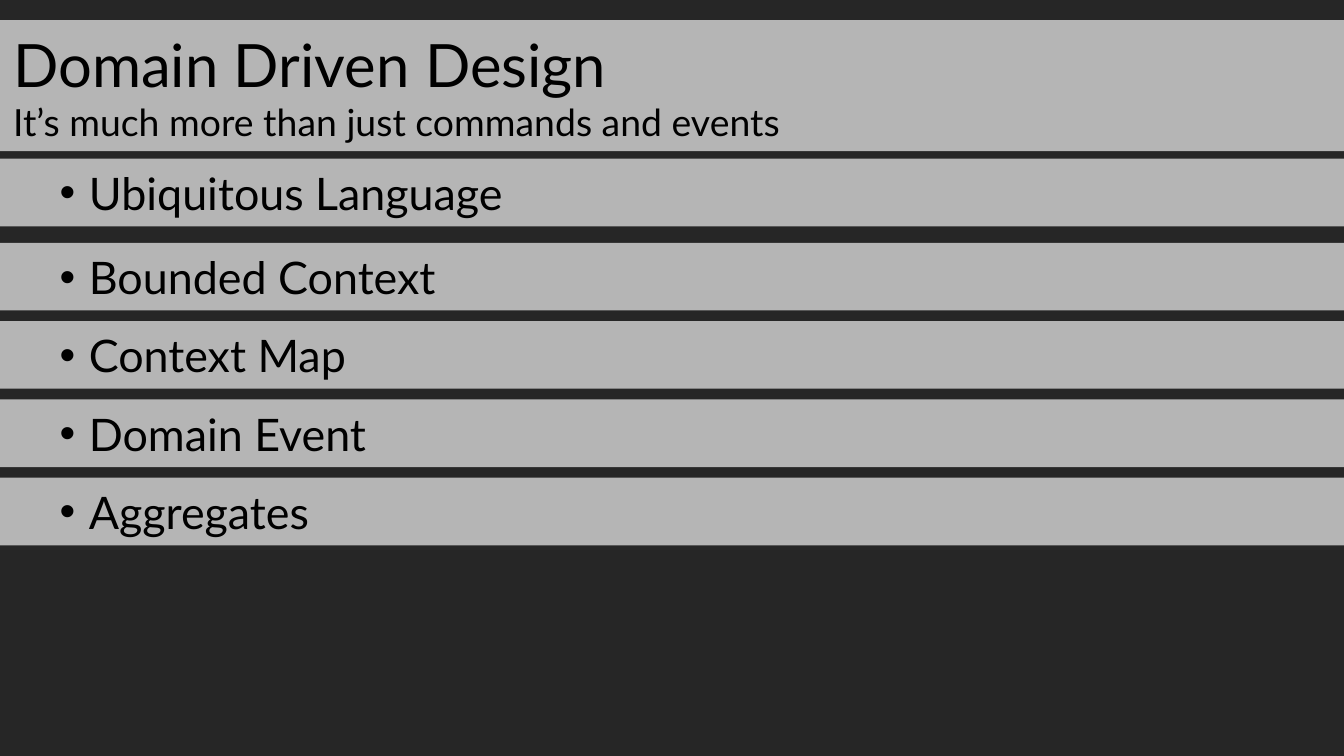
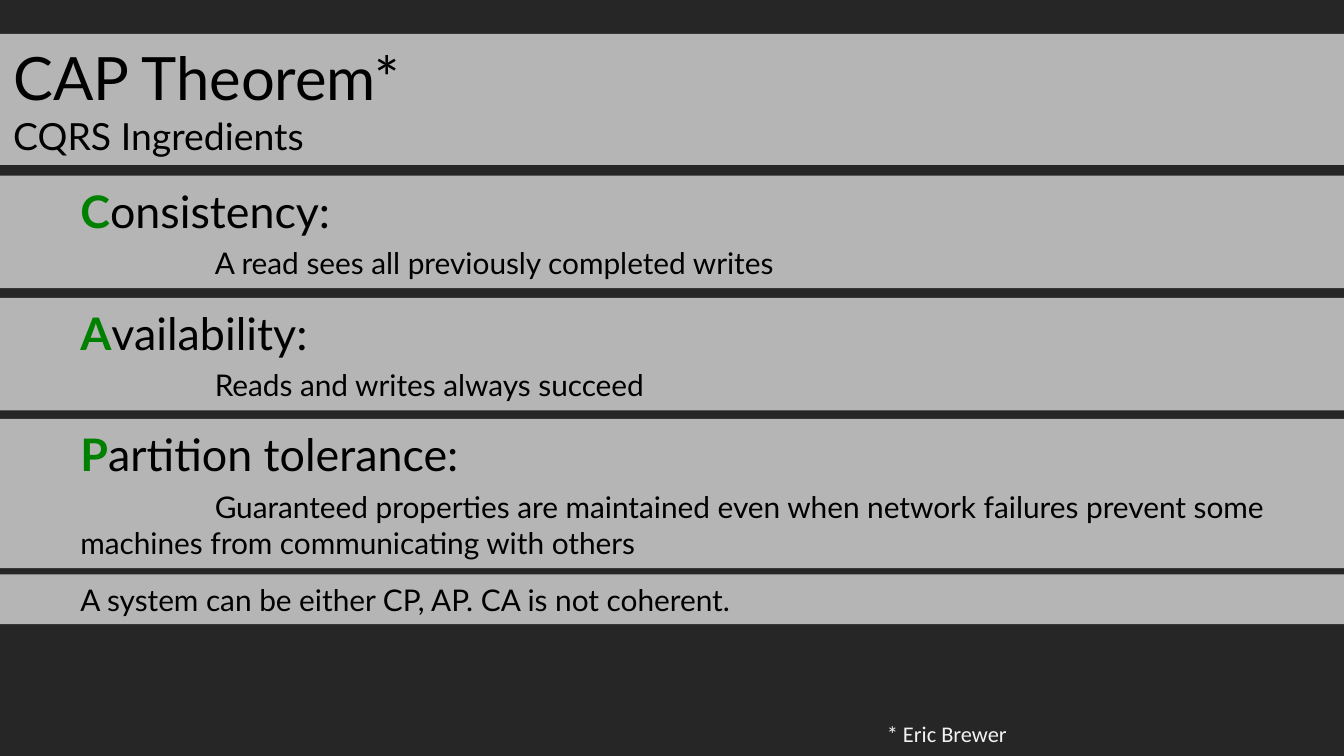
import pptx
import pptx.util
import pptx.dml.color
import pptx.enum.shapes
import pptx.enum.text
import pptx.oxml
import pptx.oxml.ns
import lxml.etree

Cm, Pt = pptx.util.Cm, pptx.util.Pt

COLOURS = {
    "background": "262626",
    "band": "D9D9D9",
    "text": "000000",
    "initial": "008000",
    "footnote": "F2F2F2",
}
BAND_OPACITY = 80
SLIDE_WIDTH, SLIDE_HEIGHT = 25.4, 14.29
TITLE_HEIGHT = 2.48
TEXT_MARGIN = 1.27
FIRST_LINE_INDENT = 2.54
BULLET_MARGIN, BULLET_HANG = 1.43, -0.55

FORMATS = {
    "title": {"name": "Lato", "size": Pt(32), "bold": False},
    "subtitle": {"name": "Lato", "size": Pt(20), "bold": False},
    "heading": {"name": "Lato", "size": Pt(24), "bold": False},
    "initial": {"name": "Lato", "size": Pt(24), "bold": True},
    "detail": {"name": "Lato", "size": Pt(16), "bold": False},
    "footnote": {"name": "Calibri", "size": Pt(12), "bold": False},
}
BAND_FRAME = {
    "word_wrap": True,
    "vertical_anchor": pptx.enum.text.MSO_ANCHOR.MIDDLE,
    "margin_left": Cm(0.25),
    "margin_right": Cm(0.25),
    "margin_top": Cm(0.13),
    "margin_bottom": Cm(0.13),
}
FOOTNOTE_FRAME = {**BAND_FRAME, "word_wrap": False,
                  "vertical_anchor": pptx.enum.text.MSO_ANCHOR.TOP}

CONCEPTS = ["Ubiquitous Language", "Bounded Context", "Context Map",
            "Domain Event", "Aggregates"]
CONCEPT_HEIGHT = 1.28
FIRST_CONCEPT_TOP, SECOND_CONCEPT_TOP, CONCEPT_PITCH = 3, 4.59, 1.48

GUARANTEES = [
    (3.32, 2.13, "Consistency:", "A read sees all previously completed writes"),
    (5.63, 2.13, "Availability:", "Reads and writes always succeed"),
    (7.92, 2.82, "Partition tolerance:",
     "Guaranteed properties are maintained even when network failures "
     "prevent some machines from communicating with others"),
]


def apply_format(target, values):
    """Set each attribute of the target from a dict of values."""
    for attribute, value in values.items():
        setattr(target, attribute, value)


def rgb(colour):
    """Return the named colour."""
    return pptx.dml.color.RGBColor.from_string(COLOURS[colour])


def add_dark_slide(deck):
    """Add a blank slide with the shared dark background."""
    slide = deck.slides.add_slide(deck.slide_layouts[6])
    slide.background.fill.solid()
    slide.background.fill.fore_color.rgb = rgb("background")
    return slide


def add_band(slide, top, height):
    """Add a translucent full-width band and return its text frame."""
    band = slide.shapes.add_shape(
        pptx.enum.shapes.MSO_SHAPE.RECTANGLE,
        Cm(0), Cm(top), Cm(SLIDE_WIDTH), Cm(height))
    band.shadow.inherit = False
    band.line.fill.background()
    band.fill.solid()
    band.fill.fore_color.rgb = rgb("band")
    tint = band.fill._xPr.find(".//" + pptx.oxml.ns.qn("a:srgbClr"))
    opacity = lxml.etree.SubElement(tint, pptx.oxml.ns.qn("a:alpha"))
    opacity.set("val", str(BAND_OPACITY * 1000))
    apply_format(band.text_frame, BAND_FRAME)
    return band.text_frame


def add_run(paragraph, text, style, colour="text"):
    """Append a run in one of the shared text styles."""
    run = paragraph.add_run()
    run.text = text
    apply_format(run.font, FORMATS[style])
    run.font.color.rgb = rgb(colour)


def set_indent(paragraph, margin, first_line=0):
    """Left-align a paragraph and set its margin and first-line indent."""
    paragraph.alignment = pptx.enum.text.PP_ALIGN.LEFT
    properties = paragraph._p.get_or_add_pPr()
    properties.set("marL", str(Cm(margin)))
    properties.set("indent", str(Cm(first_line)))
    return properties


def add_title(slide, top, title, subtitle):
    """Add the title band with its subtitle line."""
    frame = add_band(slide, top, TITLE_HEIGHT)
    lines = (frame.paragraphs[0], frame.add_paragraph())
    for line, text, style in zip(lines, (title, subtitle), ("title", "subtitle")):
        set_indent(line, 0)
        add_run(line, text, style)


def add_concept(slide, top, concept):
    """Add a band holding one bulleted concept."""
    line = add_band(slide, top, CONCEPT_HEIGHT).paragraphs[0]
    properties = set_indent(line, BULLET_MARGIN, BULLET_HANG)
    for tag, attribute, value in (("a:buFont", "typeface", "Arial"),
                                  ("a:buChar", "char", "•")):
        bullet = lxml.etree.SubElement(properties, pptx.oxml.ns.qn(tag))
        bullet.set(attribute, value)
    add_run(line, concept, "heading")


def add_guarantee(slide, top, height, name, meaning):
    """Add a band with a highlighted initial and an indented explanation."""
    frame = add_band(slide, top, height)
    heading, detail = frame.paragraphs[0], frame.add_paragraph()
    set_indent(heading, TEXT_MARGIN)
    add_run(heading, name[0], "initial", "initial")
    add_run(heading, name[1:], "heading")
    set_indent(detail, TEXT_MARGIN, FIRST_LINE_INDENT)
    detail.space_before = Pt(4)
    add_run(detail, meaning, "detail")


def add_conclusion(slide, text):
    """Add the closing band."""
    line = add_band(slide, 10.86, 0.94).paragraphs[0]
    set_indent(line, TEXT_MARGIN)
    add_run(line, text, "detail")


def add_footnote(slide, text):
    """Add the attribution below the bands."""
    frame = slide.shapes.add_textbox(
        Cm(16.51), Cm(13.49), Cm(2.82), Cm(0.76)).text_frame
    apply_format(frame, FOOTNOTE_FRAME)
    add_run(frame.paragraphs[0], text, "footnote", "footnote")


def main():
    """Build both slides and save the deck."""
    deck = pptx.Presentation()
    deck.slide_width, deck.slide_height = Cm(SLIDE_WIDTH), Cm(SLIDE_HEIGHT)

    design = add_dark_slide(deck)
    add_title(design, 0.38, "Domain Driven Design",
              "It’s much more than just commands and events")
    add_concept(design, FIRST_CONCEPT_TOP, CONCEPTS[0])
    for row, concept in enumerate(CONCEPTS[1:]):
        add_concept(design, SECOND_CONCEPT_TOP + row * CONCEPT_PITCH, concept)

    theorem = add_dark_slide(deck)
    add_title(theorem, 0.64, "CAP Theorem*", "CQRS Ingredients")
    for guarantee in GUARANTEES:
        add_guarantee(theorem, *guarantee)
    add_footnote(theorem, "* Eric Brewer")
    add_conclusion(theorem, "A system can be either CP, AP. CA is not coherent.")

    deck.save("out.pptx")


if __name__ == "__main__":
    main()
